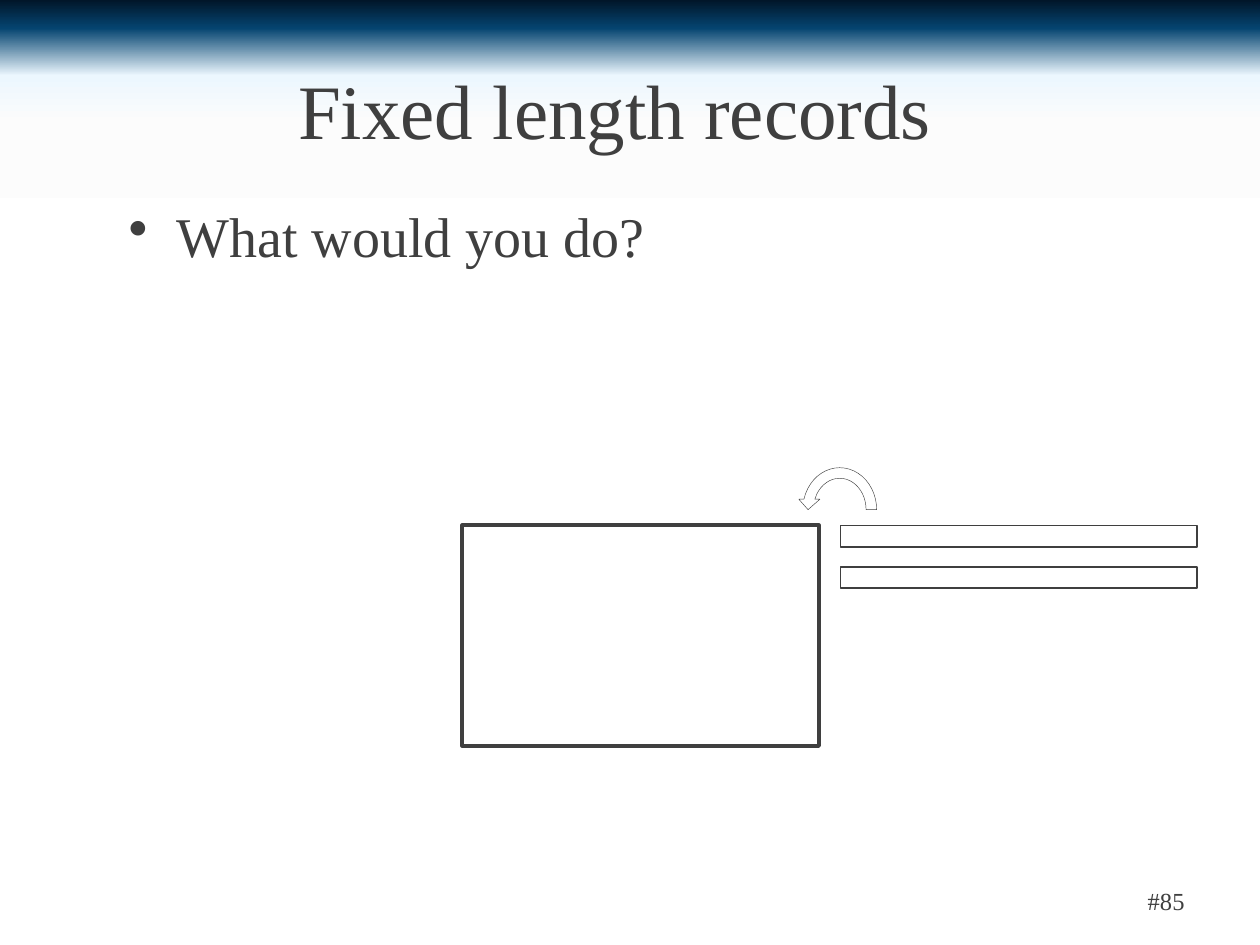
from lxml import etree
from pptx import Presentation
from pptx.dml.color import RGBColor
from pptx.enum.shapes import MSO_SHAPE
from pptx.enum.text import MSO_ANCHOR, PP_ALIGN
from pptx.oxml.ns import qn
from pptx.util import Inches, Pt

RECT, ARC = MSO_SHAPE.RECTANGLE, MSO_SHAPE.CIRCULAR_ARROW
TOP, MIDDLE = MSO_ANCHOR.TOP, MSO_ANCHOR.MIDDLE
LEFT, CENTER, RIGHT = PP_ALIGN.LEFT, PP_ALIGN.CENTER, PP_ALIGN.RIGHT
FONT = "Times New Roman"
COLORS = {"ink": "3F3F3F", "night": "011629", "blue": "054470",
          "ice": "ECF7FE", "mist": "FCFCFC", "white": "FFFFFF"}
STOPS = [(0, "night"), (3, "blue"), (8, "ice"),
         (13, "mist"), (21, "white"), (100, "white")]


def color(name):
    return RGBColor.from_string(COLORS[name])


def paint_back(slide):
    """Fill the background with a top-down gradient of all the stops."""
    fill = slide.background.fill
    fill.gradient()
    fill.gradient_angle = 270
    stops = next(slide.element.iter(qn("a:gsLst")))
    for stop in list(stops):
        stops.remove(stop)
    for percent, name in STOPS:
        stop = etree.SubElement(stops, qn("a:gs"), pos=str(percent * 1000))
        etree.SubElement(stop, qn("a:srgbClr"), val=COLORS[name])


def add_text(slide, text, box, size, align=LEFT, anchor=TOP):
    frame = slide.shapes.add_textbox(*map(Inches, box)).text_frame
    frame.word_wrap = True
    frame.vertical_anchor = anchor
    para = frame.paragraphs[0]
    para.text = text
    para.alignment = align
    para.font.name = FONT
    para.font.size = Pt(size)
    para.font.color.rgb = color("ink")
    return frame


def add_bullet(slide, text, box, size):
    frame = add_text(slide, text, box, size)
    frame.margin_left = Inches(0.85)
    frame.margin_top = Inches(0.1)
    props = frame.paragraphs[0]._p.get_or_add_pPr()
    props.set("marL", str(Inches(0.38)))
    props.set("indent", str(-Inches(0.38)))
    mark = etree.Element(qn("a:buChar"), char="•")
    props.insert(0, mark)


def add_outline(slide, kind, box, width):
    shape = slide.shapes.add_shape(kind, *map(Inches, box))
    shape.shadow.inherit = False
    shape.fill.background()
    shape.line.color.rgb = color("ink")
    shape.line.width = Pt(width)
    return shape


def main():
    deck = Presentation()
    deck.slide_width, deck.slide_height = Inches(10), Inches(7.5)
    slide = deck.slides.add_slide(deck.slide_layouts[6])
    paint_back(slide)

    add_text(slide, "#85", (7.17, 6.95, 2.33, 0.4), 14, RIGHT, MIDDLE)
    add_text(slide, "Fixed length records", (0.17, 0.3, 9.42, 1.12), 44,
             CENTER, MIDDLE)
    add_bullet(slide, "What would you do?", (0.17, 1.5, 9.42, 5.2), 32)

    add_outline(slide, RECT, (3.67, 4.17, 2.83, 1.75), 2.25)
    for top in (4.17, 4.5):
        add_outline(slide, RECT, (6.67, top, 2.83, 0.17), 1)
    arc = add_outline(slide, ARC, (6.33, 3.67, 0.67, 0.75), 0.25)
    arc.element.spPr.find(qn("a:xfrm")).set("flipH", "1")

    deck.save("out.pptx")


if __name__ == "__main__":
    main()
